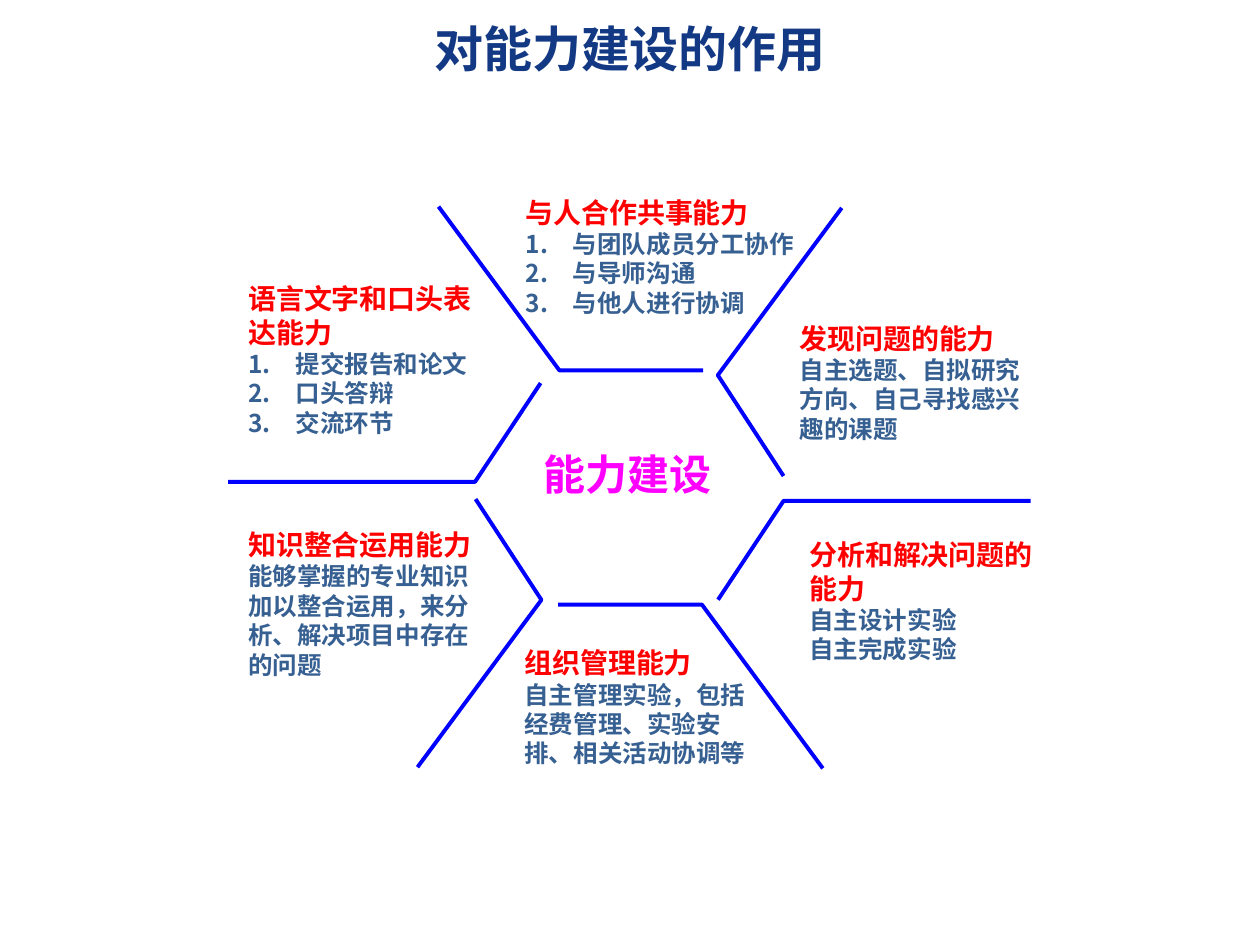
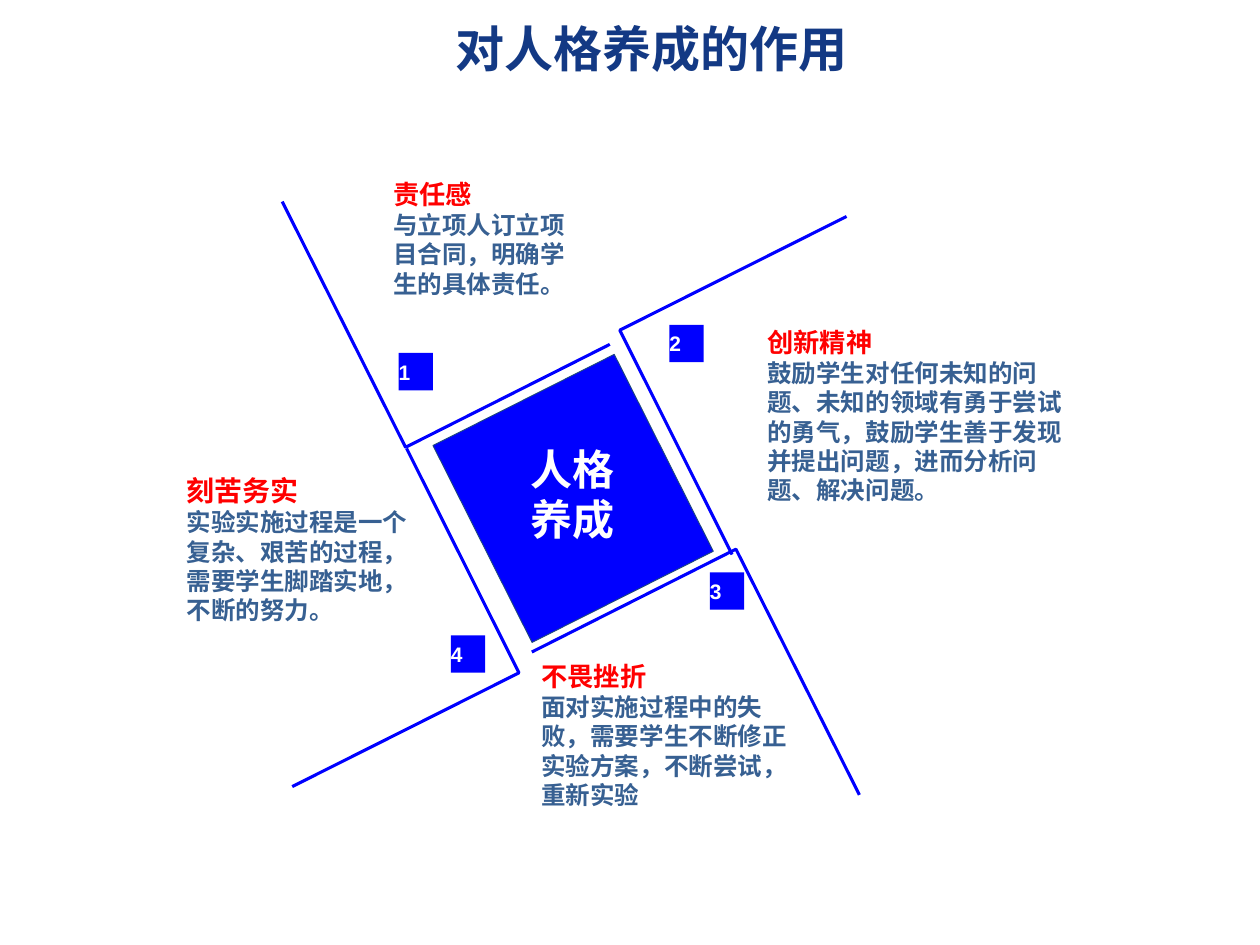
"""Build two slides on what student projects do for ability and character."""
from lxml import etree
from pptx import Presentation
from pptx import util as u
from pptx.dml import color
from pptx.enum import shapes, text
from pptx.oxml import ns

FONT = "Arial"
NAVY, BLUE, STEEL = "133984", "0000FF", "376092"
RED, MAGENTA, WHITE, EDGE = "FF0000", "FF00FF", "FFFFFF", "1F497D"
TITLE_ONLY = 5


def rgb(value):
    return color.RGBColor.from_string(value)


def half_turn(points, center):
    return [(2 * center[0] - x, 2 * center[1] - y) for x, y in points]


class Deck:
    def __init__(self):
        self.presentation = Presentation()
        self.presentation.slide_width = u.Pt(720)
        self.presentation.slide_height = u.Pt(540)
        self.slide = None

    def add_slide(self, title, left, width):
        layout = self.presentation.slide_layouts[TITLE_ONLY]
        self.slide = self.presentation.slides.add_slide(layout)
        shape = self.slide.shapes.title
        shape.left, shape.top = u.Pt(left), u.Pt(0)
        shape.width, shape.height = u.Pt(width), u.Pt(55)
        frame = shape.text_frame
        frame.text = title
        frame.auto_size = text.MSO_AUTO_SIZE.NONE
        frame.vertical_anchor = text.MSO_ANCHOR.MIDDLE
        self.style(frame.paragraphs[0], 28, NAVY, text.PP_ALIGN.CENTER)

    def style(self, paragraph, size, ink, alignment=text.PP_ALIGN.LEFT):
        paragraph.alignment = alignment
        paragraph._p.get_or_add_pPr().set("hangingPunct", "0")
        for run in paragraph.runs:
            run.font.name = FONT
            run.font.size = u.Pt(size)
            run.font.bold = True
            run.font.color.rgb = rgb(ink)

    def number(self, paragraph):
        properties = paragraph._p.get_or_add_pPr()
        properties.set("marL", str(u.Pt(27)))
        properties.set("indent", str(-u.Pt(27)))
        bullet_font = etree.SubElement(properties, ns.qn("a:buFont"))
        bullet_font.set("typeface", "+mj-lt")
        bullet = etree.SubElement(properties, ns.qn("a:buAutoNum"))
        bullet.set("type", "arabicPeriod")

    def text_box(self, box, lines, wrap=True, inset=True):
        shape = self.slide.shapes.add_textbox(*map(u.Pt, box))
        frame = shape.text_frame
        frame.word_wrap = wrap
        frame.auto_size = text.MSO_AUTO_SIZE.SHAPE_TO_FIT_TEXT
        if not inset:
            self.clear_insets(frame)
        frame.text = "\n".join(line for line, size, ink in lines)
        for paragraph, (line, size, ink) in zip(frame.paragraphs, lines):
            self.style(paragraph, size, ink)
        return frame

    def clear_insets(self, frame):
        frame.margin_left = frame.margin_right = u.Pt(0)
        frame.margin_top = frame.margin_bottom = u.Pt(0)
        frame.vertical_anchor = text.MSO_ANCHOR.MIDDLE

    def topic(self, box, heading, details, size=16, numbered=False, inset=True):
        lines = [(heading, size, RED)] + [(line, 14, STEEL) for line in details]
        frame = self.text_box(box, lines, inset=inset)
        if numbered:
            for paragraph in frame.paragraphs[1:]:
                self.number(paragraph)

    def rectangle(self, box, edge=None, rotation=0):
        shape = self.slide.shapes.add_shape(
            shapes.MSO_SHAPE.RECTANGLE, *map(u.Pt, box))
        shape.shadow.inherit = False
        shape.rotation = rotation
        shape.fill.solid()
        shape.fill.fore_color.rgb = rgb(BLUE)
        if edge:
            shape.line.color.rgb = rgb(edge)
            shape.line.width = u.Pt(0.5)
        else:
            shape.line.fill.background()
        return shape

    def badge(self, left, top, label):
        frame = self.rectangle((left, top, 19.6, 21.4)).text_frame
        self.clear_insets(frame)
        frame.word_wrap = False
        frame.text = label
        self.style(frame.paragraphs[0], 12, WHITE)

    def polyline(self, points, width):
        corners = [(u.Pt(x), u.Pt(y)) for x, y in points]
        builder = self.slide.shapes.build_freeform(*corners[0])
        builder.add_line_segments(corners[1:], close=False)
        shape = builder.convert_to_shape()
        shape.shadow.inherit = False
        shape.fill.background()
        shape.line.color.rgb = rgb(BLUE)
        shape.line.width = u.Pt(width)

    def arm_pair(self, points, center, width):
        self.polyline(points, width)
        self.polyline(half_turn(points, center), width)


def build_ability(deck):
    deck.add_slide("对能力建设的作用", 0, 720)
    for points, center in [
        ([(250.6, 118.1), (319.7, 211.7), (401.8, 211.7)], (360.4, 278.6)),
        ([(130.3, 275.4), (271.4, 275.4), (308.9, 218.9)], (359.6, 280.8)),
        ([(481, 118.8), (410.2, 214.4), (447.8, 272)], (359.8, 278.6)),
    ]:
        deck.arm_pair(points, center, 2.25)
    deck.text_box((303.5, 252.7, 125.3, 36.4), [("能力建设", 24, MAGENTA)], wrap=False)
    for box, heading, details, numbered in [
        ((134.8, 157.4, 146, 97), "语言文字和口头表达能力",
         ["提交报告和论文", "口头答辩", "交流环节"], True),
        ((293.3, 108, 174, 78), "与人合作共事能力",
         ["与团队成员分工协作", "与导师沟通", "与他人进行协调"], True),
        ((449.8, 180, 146, 78), "发现问题的能力",
         ["自主选题、自拟研究方向、自己寻找感兴趣的课题"], False),
        ((455.4, 303.8, 146, 80), "分析和解决问题的能力",
         ["自主设计实验", "自主完成实验"], False),
        ((292.6, 365.6, 146, 78), "组织管理能力",
         ["自主管理实验，包括经费管理、实验安排、相关活动协调等"], False),
        ((134.8, 298.1, 146, 94), "知识整合运用能力",
         ["能够掌握的专业知识加以整合运用，来分析、解决项目中存在的问题"], False),
    ]:
        deck.topic(box, heading, details, numbered=numbered)


def build_character(deck):
    deck.add_slide("对人格养成的作用", 116.2, 512)
    badge_corners = [(227.8, 201.7), (382.5, 185.6), (405.6, 327), (257.6, 363)]
    for number, (left, top) in enumerate(badge_corners, 1):
        deck.badge(left, top, str(number))
    deck.rectangle((269.5, 221.8, 116, 126), EDGE, 153.3)
    for points, center in [
        ([(348.5, 196.8), (231.8, 255.6), (161.3, 115.2)], (326.2, 284.7)),
        ([(167, 449.5), (296.6, 384.5), (232.4, 256.3)], (325.4, 286.6)),
    ]:
        deck.arm_pair(points, center, 1.75)
    deck.text_box((303.2, 253, 55.4, 58), [("人格", 24, WHITE), ("养成", 24, WHITE)],
                  inset=False)
    for box, heading, detail, size in [
        ((224.7, 101.7, 101.5, 69), "责任感",
         "与立项人订立项目合同，明确学生的具体责任。", 15),
        ((438.5, 186, 168.5, 103), "创新精神",
         "鼓励学生对任何未知的问题、未知的领域有勇于尝试的勇气，"
         "鼓励学生善于发现并提出问题，进而分析问题、解决问题。", 15),
        ((309.4, 377, 152, 86), "不畏挫折",
         "面对实施过程中的失败，需要学生不断修正实验方案，不断尝试，重新实验", 15),
        ((106.6, 270.3, 129.6, 87), "刻苦务实",
         "实验实施过程是一个复杂、艰苦的过程，需要学生脚踏实地，不断的努力。", 16),
    ]:
        deck.topic(box, heading, [detail], size, inset=False)


def main():
    deck = Deck()
    build_ability(deck)
    build_character(deck)
    deck.presentation.save("out.pptx")


if __name__ == "__main__":
    main()
